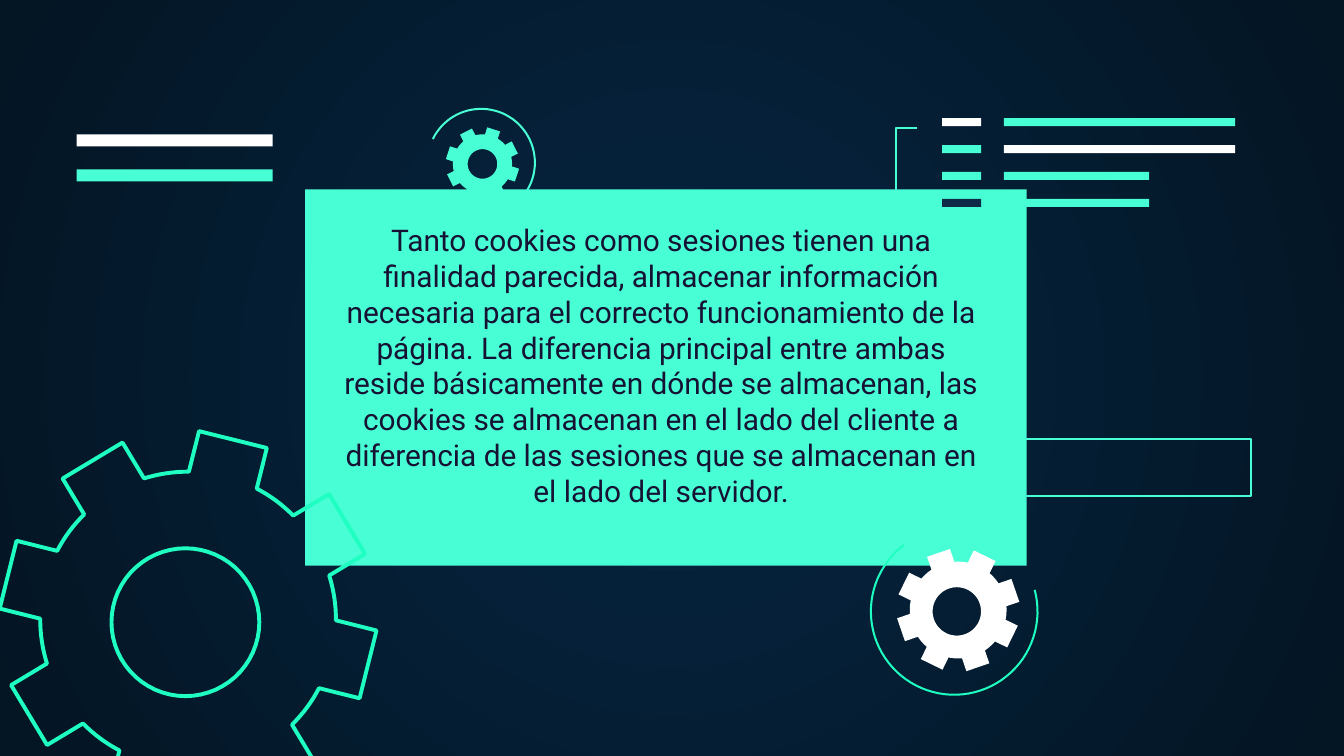
import math

from lxml import etree
from pptx import Presentation
from pptx.dml.color import RGBColor
from pptx.enum import shapes, text
from pptx.oxml.ns import qn
from pptx.util import Inches, Pt

WHITE = RGBColor(0xFF, 0xFF, 0xFF)
AQUA = RGBColor(0x48, 0xFF, 0xD5)
MINT = RGBColor(0x1E, 0xFF, 0xC1)
NAVY = RGBColor(0x0E, 0x2A, 0x47)
INK = RGBColor(0x16, 0x12, 0x34)
GLOW = RGBColor(0x05, 0x26, 0x43)
EDGE = RGBColor(0x04, 0x15, 0x23)

PAGE_WIDTH = 10
PAGE_HEIGHT = PAGE_WIDTH * 9 / 16
TEETH = 8
THIN = 1.09
MESSAGE = (
    "Tanto cookies como sesiones tienen una finalidad parecida, almacenar "
    "información necesaria para el correcto funcionamiento de la página. "
    "La diferencia principal entre ambas reside básicamente en dónde se "
    "almacenan, las cookies se almacenan en el lado del cliente a diferencia "
    "de las sesiones que se almacenan en el lado del servidor."
)


def paint_background(page):
    """Radial gradient, lightest in the centre."""
    fill = page.background.fill
    fill.gradient()
    for stop, color in zip(fill.gradient_stops, (GLOW, EDGE)):
        stop.color.rgb = color
    gradient = next(page.element.iter(qn("a:gradFill")))
    for linear in gradient.findall(qn("a:lin")):
        gradient.remove(linear)
    circle = etree.SubElement(gradient, qn("a:path"), path="circle")
    etree.SubElement(circle, qn("a:fillToRect"),
                     {side: "50000" for side in "ltrb"})


def style(shape, fill=None, line=None, weight=THIN):
    shape.shadow.inherit = False
    if fill is None:
        shape.fill.background()
    else:
        shape.fill.solid()
        shape.fill.fore_color.rgb = fill
    if line is None:
        shape.line.fill.background()
    else:
        shape.line.color.rgb = line
        shape.line.width = Pt(weight)


def add_rectangle(page, left, top, width, height, **look):
    box = page.shapes.add_shape(shapes.MSO_SHAPE.RECTANGLE, Inches(left),
                                Inches(top), Inches(width), Inches(height))
    style(box, **look)


def add_outline(page, contours, closed, **look):
    contours = [[(Inches(x), Inches(y)) for x, y in contour]
                for contour in contours]
    builder = page.shapes.build_freeform(*contours[0][0])
    builder.add_line_segments(contours[0][1:], close=closed)
    for contour in contours[1:]:
        builder.move_to(*contour[0])
        builder.add_line_segments(contour[1:], close=closed)
    style(builder.convert_to_shape(), **look)


def arc_points(center, radius, start, end, steps=60):
    """Points from start to end, in degrees clockwise from the right."""
    angles = [math.radians(start + (end - start) * i / steps)
              for i in range(steps + 1)]
    return [(center[0] + radius * math.cos(a), center[1] + radius * math.sin(a))
            for a in angles]


def add_arc(page, center, radius, start, end, color):
    add_outline(page, [arc_points(center, radius, start, end)], False, line=color)


def add_gear(page, center, tip, root, half_tooth, hub, hole, turn, **look):
    """Straight-sided teeth on a root circle, with a round hole at the hub."""
    pitch = 360 / TEETH
    base = math.degrees(math.asin(half_tooth / root))
    reach = math.hypot(tip, half_tooth)
    corner = math.degrees(math.atan2(half_tooth, tip))
    rim = []
    for tooth in range(TEETH):
        middle = turn + tooth * pitch
        rim += arc_points(center, reach, middle - corner, middle + corner, 1)
        rim += arc_points(center, root, middle + base, middle + pitch - base, 8)
    add_outline(page, [rim, arc_points(hub, hole, 360, 0)[:-1]], True, **look)


def add_code_lines(page):
    rows = [(WHITE, AQUA, 1.72), (AQUA, WHITE, 1.72),
            (AQUA, AQUA, 1.08), (NAVY, AQUA, 1.08)]
    for row, (marker, bar, length) in enumerate(rows):
        top = 0.88 + row * 0.2
        add_rectangle(page, 7.01, top, 0.29, 0.06, fill=marker)
        add_rectangle(page, 7.47, top, length, 0.06, fill=bar)


def add_message(page):
    box = page.shapes.add_textbox(Inches(2.4), Inches(1.55),
                                  Inches(5.04), Inches(2.44))
    frame = box.text_frame
    frame.word_wrap = True
    frame.vertical_anchor = text.MSO_ANCHOR.TOP
    frame.margin_left = frame.margin_right = Inches(0.1)
    frame.margin_top = frame.margin_bottom = Inches(0.1)
    frame.text = MESSAGE
    para = frame.paragraphs[0]
    para.alignment = text.PP_ALIGN.CENTER
    span = para.runs[0]
    span.font.name = "Roboto"
    span.font.size = Pt(16)
    span.font.color.rgb = INK


def main():
    deck = Presentation()
    deck.slide_width = Inches(PAGE_WIDTH)
    deck.slide_height = Inches(PAGE_HEIGHT)
    page = deck.slides.add_slide(deck.slide_layouts[6])
    paint_background(page)

    add_rectangle(page, 2.27, 1.41, 5.37, 2.8, fill=AQUA)
    add_arc(page, (3.58, 1.21), 0.4, 206, 456, AQUA)
    add_arc(page, (7.1, 4.55), 0.62, -15, 233, MINT)
    add_gear(page, (1.4, 4.61), 1.38, 1.1, 0.26, (1.38, 4.63), 0.55, 14,
             line=MINT, weight=2.1)
    add_gear(page, (7.13, 4.54), 0.45, 0.36, 0.09, (7.12, 4.55), 0.18, 26,
             fill=WHITE)
    add_gear(page, (3.59, 1.22), 0.27, 0.22, 0.05, (3.59, 1.22), 0.11, 18,
             fill=AQUA)

    add_code_lines(page)
    bracket = [(6.83, 1.56), (6.67, 1.56), (6.67, 0.95), (6.82, 0.95)]
    add_outline(page, [bracket], False, line=AQUA)
    for top, color in ((1, WHITE), (1.26, AQUA)):
        add_rectangle(page, 0.57, top, 1.46, 0.09, fill=color)
    add_rectangle(page, 7.2, 3.27, 2.11, 0.42, line=AQUA)
    add_message(page)
    deck.save("out.pptx")


if __name__ == "__main__":
    main()
